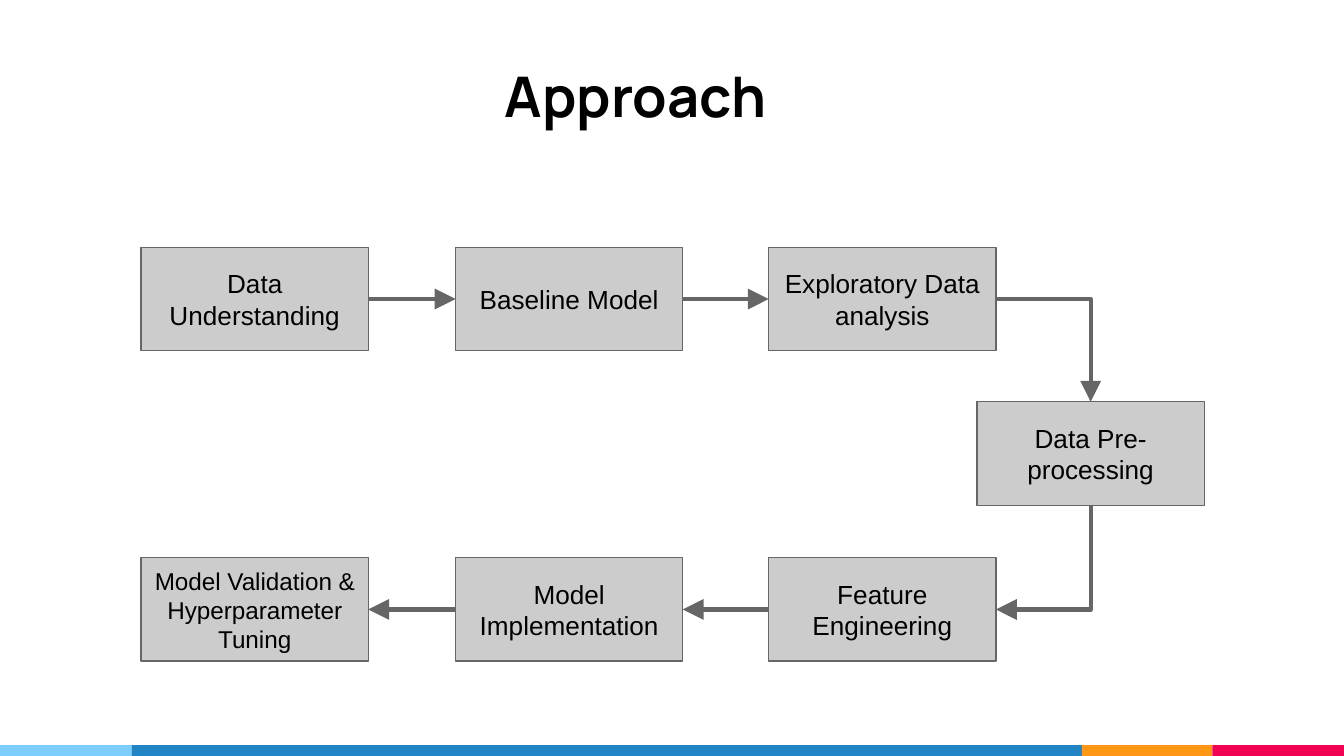
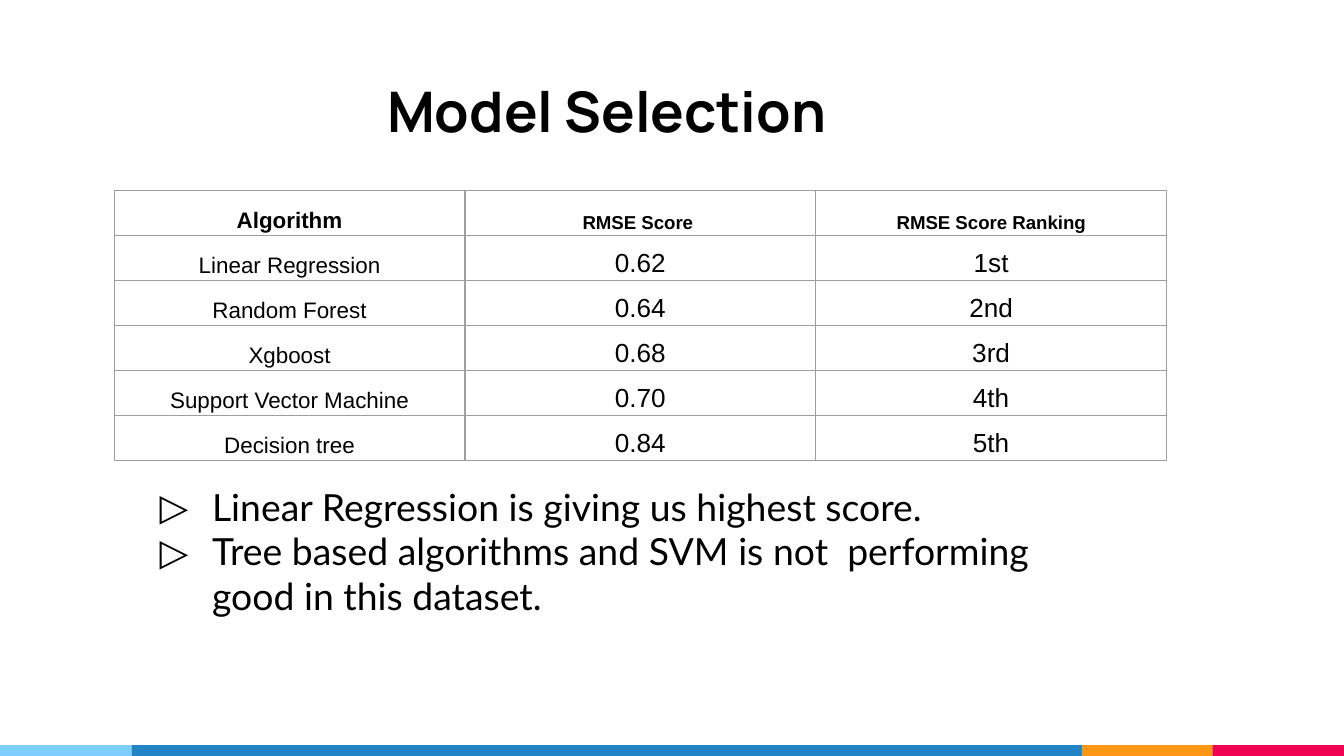
from lxml import etree
from pptx import Presentation
from pptx.dml.color import RGBColor
from pptx.enum import shapes, text
from pptx.oxml.ns import qn
from pptx.util import Inches, Pt

BLACK = RGBColor(0x00, 0x00, 0x00)
BOX_FILL = RGBColor(0xCC, 0xCC, 0xCC)
BOX_LINE = RGBColor(0x66, 0x66, 0x66)
TABLE_LINE = RGBColor(0x9E, 0x9E, 0x9E)
SKY = RGBColor(0x7E, 0xCE, 0xFD)
BLUE = RGBColor(0x21, 0x85, 0xC5)
ORANGE = RGBColor(0xFF, 0x97, 0x15)
RED = RGBColor(0xF2, 0x02, 0x53)

PAGE_WIDTH = 10
PAGE_HEIGHT = PAGE_WIDTH * 9 / 16
BAND_HEIGHT = 0.08
BANDS = [(SKY, 0.98), (BLUE, 7.07), (ORANGE, 0.97), (RED, 0.98)]

# Step: (column, row, font size)
STEPS = {
    "Data Understanding": (0, 0, 14),
    "Baseline Model": (1, 0, 14),
    "Exploratory Data analysis": (2, 0, 14),
    "Data Pre-processing": (3, 1, 14),
    "Feature Engineering": (2, 2, 14),
    "Model Implementation": (1, 2, 14),
    "Model Validation & Hyperparameter Tuning": (0, 2, 13),
}
STEP_LEFTS = [1.05, 3.39, 5.72, 7.27]
STEP_TOPS = [1.84, 2.99, 4.15]
STEP_WIDTH, STEP_HEIGHT = 1.69, 0.77
TOP, LEFT, BOTTOM, RIGHT = range(4)  # connection sites of a rectangle

SCORES = [
    ("Algorithm", "RMSE Score ", "RMSE Score Ranking"),
    ("Linear Regression", "0.62", "1st"),
    ("Random Forest", "0.64", "2nd"),
    ("Xgboost", "0.68", "3rd"),
    ("Support Vector Machine", "0.70", "4th"),
    ("Decision tree", "0.84", "5th"),
]
TABLE_WIDTH, TABLE_HEIGHT = 7.83, 2.01
FINDINGS = [
    "Linear Regression is giving us highest score.",
    "Tree based algorithms and SVM is not  performing good in this dataset.",
]


def style(paragraph, size, font="Arial", bold=False):
    for span in paragraph.runs:
        span.font.name = font
        span.font.size = Pt(size)
        span.font.bold = bold
        span.font.color.rgb = BLACK


def set_frame(frame, anchor):
    frame.word_wrap = True
    frame.vertical_anchor = anchor
    frame.margin_left = frame.margin_right = Inches(0.1)
    frame.margin_top = frame.margin_bottom = Inches(0.1)


def add_rectangle(page, left, top, width, height, fill):
    box = page.shapes.add_shape(
        shapes.MSO_SHAPE.RECTANGLE,
        Inches(left), Inches(top), Inches(width), Inches(height))
    box.shadow.inherit = False
    box.fill.solid()
    box.fill.fore_color.rgb = fill
    box.line.fill.background()
    return box


def add_page(deck, title, left, top, width, height):
    """Add a page with the footer bands and a centred title."""
    page = deck.slides.add_slide(deck.slide_layouts[6])
    band_left = 0
    for color, band_width in BANDS:
        add_rectangle(page, band_left, PAGE_HEIGHT - BAND_HEIGHT,
                      band_width, BAND_HEIGHT, color)
        band_left += band_width
    box = page.shapes.add_textbox(
        Inches(left), Inches(top), Inches(width), Inches(height))
    set_frame(box.text_frame, text.MSO_ANCHOR.BOTTOM)
    box.text_frame.text = title
    paragraph = box.text_frame.paragraphs[0]
    paragraph.alignment = text.PP_ALIGN.CENTER
    style(paragraph, 30, "Manrope", bold=True)
    return page


def add_step(page, label, column, row, size):
    box = add_rectangle(page, STEP_LEFTS[column], STEP_TOPS[row],
                        STEP_WIDTH, STEP_HEIGHT, BOX_FILL)
    box.line.color.rgb = BOX_LINE
    box.line.width = Pt(0.75)
    set_frame(box.text_frame, text.MSO_ANCHOR.MIDDLE)
    box.text_frame.text = label
    paragraph = box.text_frame.paragraphs[0]
    paragraph.alignment = text.PP_ALIGN.CENTER
    style(paragraph, size)
    return box


def add_arrow(page, start, start_site, end, end_site,
              bent=False, arrowhead="tailEnd"):
    kind = shapes.MSO_CONNECTOR.ELBOW if bent else shapes.MSO_CONNECTOR.STRAIGHT
    arrow = page.shapes.add_connector(kind, 0, 0, 0, 0)
    arrow.begin_connect(start, start_site)
    arrow.end_connect(end, end_site)
    arrow.line.color.rgb = BOX_LINE
    arrow.line.width = Pt(2.25)
    properties = arrow._element.spPr
    if bent:
        properties.find(qn("a:prstGeom")).set("prst", "bentConnector2")
    etree.SubElement(properties.find(qn("a:ln")), qn(f"a:{arrowhead}"),
                     type="triangle", w="lg", len="lg")
    etree.SubElement(properties, qn("a:effectLst"))


def add_approach(deck):
    page = add_page(deck, "Approach", 0.07, 0.43, 9.32, 0.63)
    understanding, baseline, exploration, preparation, features, models, tuning = [
        add_step(page, label, *place) for label, place in STEPS.items()]
    add_arrow(page, understanding, RIGHT, baseline, LEFT)
    add_arrow(page, baseline, RIGHT, exploration, LEFT)
    add_arrow(page, exploration, RIGHT, preparation, TOP, bent=True)
    add_arrow(page, features, RIGHT, preparation, BOTTOM, bent=True,
              arrowhead="headEnd")
    add_arrow(page, features, LEFT, models, RIGHT)
    add_arrow(page, models, LEFT, tuning, RIGHT)


def set_borders(cell):
    properties = cell._tc.get_or_add_tcPr()
    for side in ("lnL", "lnR", "lnT", "lnB"):
        line = etree.SubElement(properties, qn(f"a:{side}"), w=str(Pt(0.75)))
        fill = etree.SubElement(line, qn("a:solidFill"))
        etree.SubElement(fill, qn("a:srgbClr"), val=str(TABLE_LINE))


def add_scores(page):
    table = page.shapes.add_table(
        len(SCORES), len(SCORES[0]), Inches(0.85), Inches(1.42),
        Inches(TABLE_WIDTH), Inches(TABLE_HEIGHT)).table
    table.first_row = table.horz_banding = False
    for row, values in enumerate(SCORES):
        for column, value in enumerate(values):
            cell = table.cell(row, column)
            set_borders(cell)
            cell.fill.background()
            cell.vertical_anchor = text.MSO_ANCHOR.BOTTOM
            cell.margin_left = cell.margin_right = Inches(0.03)
            cell.margin_top = cell.margin_bottom = Inches(0.02)
            cell.text_frame.text = value
            paragraph = cell.text_frame.paragraphs[0]
            paragraph.alignment = text.PP_ALIGN.CENTER
            header = row == 0
            if header or column == 0:
                paragraph.line_spacing = 1.15
            size = 12 if column == 0 else 10 if header else 14
            style(paragraph, size, bold=header)


def set_bullet(paragraph):
    properties = paragraph._p.get_or_add_pPr()
    properties.set("marL", str(Inches(0.5)))
    properties.set("indent", str(Inches(-0.39)))
    color = etree.SubElement(properties, qn("a:buClr"))
    etree.SubElement(color, qn("a:srgbClr"), val=str(BLACK))
    etree.SubElement(properties, qn("a:buFont"), typeface="Lato")
    etree.SubElement(properties, qn("a:buChar"), char="▷")


def add_model_selection(deck):
    page = add_page(deck, "Model Selection", 0.98, 0.23, 7.07, 0.94)
    add_scores(page)
    box = page.shapes.add_textbox(
        Inches(0.98), Inches(3.5), Inches(7.07), Inches(1.88))
    set_frame(box.text_frame, text.MSO_ANCHOR.TOP)
    box.text_frame.text = "\n".join(FINDINGS)
    for paragraph in box.text_frame.paragraphs:
        style(paragraph, 20, "Lato")
        set_bullet(paragraph)


def main():
    deck = Presentation()
    deck.slide_width = Inches(PAGE_WIDTH)
    deck.slide_height = Inches(PAGE_HEIGHT)
    add_approach(deck)
    add_model_selection(deck)
    deck.save("out.pptx")


if __name__ == "__main__":
    main()
